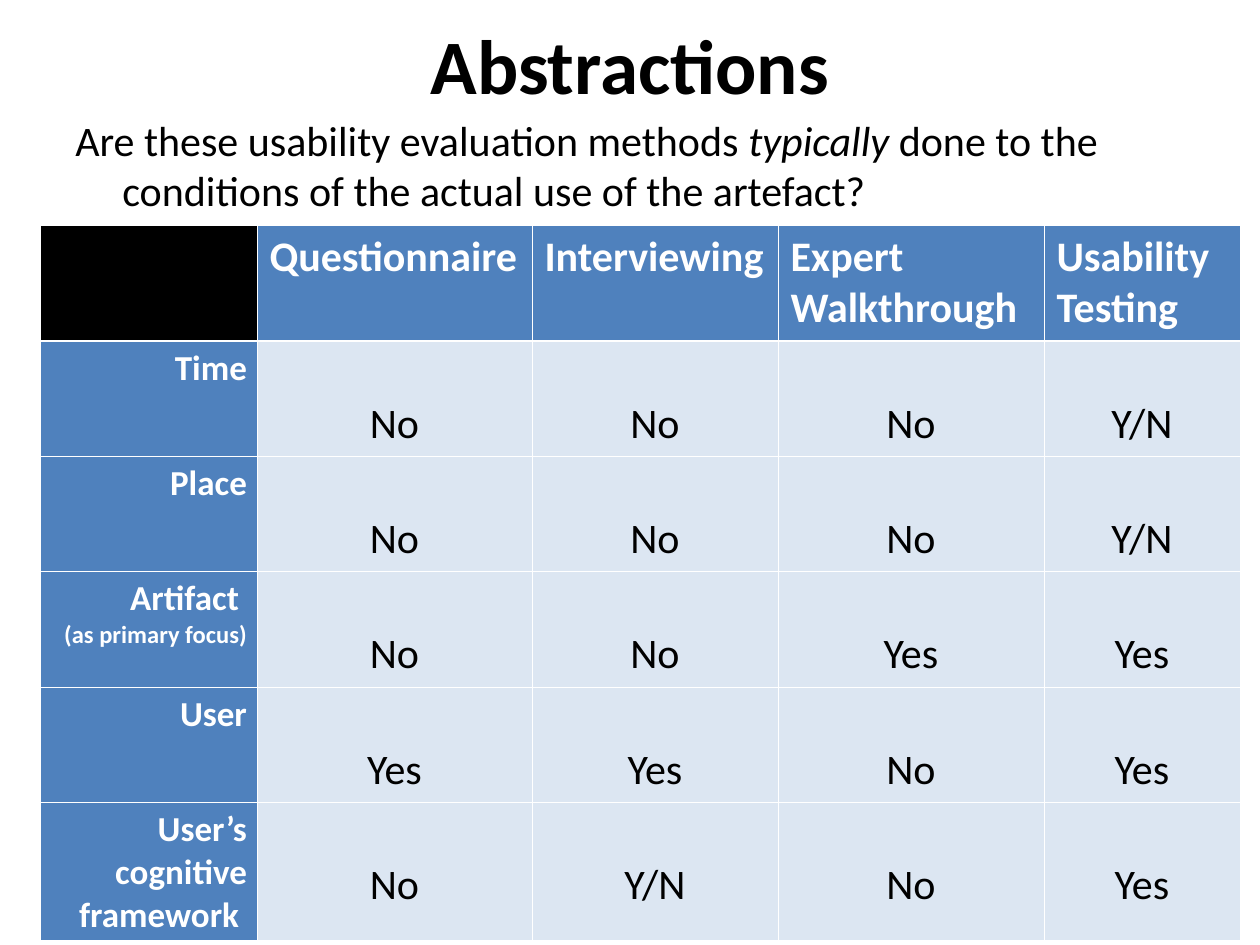
"""Build the Abstractions slide: a question above a table of usability methods."""
from lxml.etree import SubElement
from pptx import Presentation
from pptx.dml.color import RGBColor
from pptx.enum.text import MSO_ANCHOR, PP_ALIGN
from pptx.oxml.ns import qn
from pptx.util import Emu, Pt

SCALE = 914400 / 126
WHITE, BLACK, BLUE, PALE = "FFFFFF", "000000", "4F81BD", "DCE6F2"
THIN, THICK = 0.45, 1.47


def px(n):
    return Emu(round(n * SCALE))


def add_run(p, text, size, color=BLACK, bold=False, italic=False):
    r = p.add_run()
    r.text = text
    r.font.name = "Calibri"
    r.font.size = Pt(size)
    r.font.bold = bold
    r.font.italic = italic
    r.font.color.rgb = RGBColor.from_string(color)


prs = Presentation()
prs.slide_width, prs.slide_height = px(1260), px(945)
s = prs.slides.add_slide(prs.slide_layouts[6])

title = s.shapes.add_textbox(px(63), px(20), px(1134), px(88))
tf = title.text_frame
tf.word_wrap = True
tf.vertical_anchor = MSO_ANCHOR.MIDDLE
p = tf.paragraphs[0]
p.alignment = PP_ALIGN.CENTER
add_run(p, "Abstractions", 44, bold=True)

question = s.shapes.add_textbox(px(63), px(108), px(1134), px(808))
tf = question.text_frame
tf.word_wrap = True
p = tf.paragraphs[0]
pPr = p._p.get_or_add_pPr()
pPr.set("marL", str(px(47)))
pPr.set("indent", str(-px(47)))
add_run(p, "Are these usability evaluation methods ", 24)
add_run(p, "typically", 24, italic=True)
add_run(p, " done to the conditions of the actual use of the artefact?", 24)

methods = ["", "Questionnaire", "Interviewing", "Expert Walkthrough", "Usability Testing"]
answers = [
    [[("Time", 20)], "No", "No", "No", "Y/N"],
    [[("Place", 20)], "No", "No", "No", "Y/N"],
    [[("Artifact ", 20), ("(as primary focus)", 14)], "No", "No", "Yes", "Yes"],
    [[("User", 20)], "Yes", "Yes", "No", "Yes"],
    [[("User’s cognitive framework ", 20)], "No", "Y/N", "No", "Yes"],
]
rows = [methods] + answers
widths = [217, 275, 246, 266, 196]
heights = [116, 115, 115, 116, 115, 129]

frame = s.shapes.add_table(len(rows), len(widths), px(40), px(225), px(sum(widths)), px(sum(heights)))
table = frame.table
table.horz_banding = False
for column, width in zip(table.columns, widths):
    column.width = px(width)

for i, (row, height) in enumerate(zip(rows, heights)):
    table.rows[i].height = px(height)
    for j, value in enumerate(row):
        cell = table.cell(i, j)
        tcPr = cell._tc.get_or_add_tcPr()
        top = THICK if i == 1 else THIN
        bottom = THICK if i == 0 else THIN
        for side, weight in (("L", THIN), ("R", THIN), ("T", top), ("B", bottom)):
            ln = SubElement(tcPr, qn(f"a:ln{side}"), w=str(Pt(weight)))
            SubElement(SubElement(ln, qn("a:solidFill")), qn("a:srgbClr"), val=WHITE)
        if i == 0:
            fill = BLUE if value else BLACK
        else:
            fill = PALE if j else BLUE
        cell.fill.solid()
        cell.fill.fore_color.rgb = RGBColor.from_string(fill)

        tf = cell.text_frame
        p = tf.paragraphs[0]
        if i == 0:
            if value:
                add_run(p, value, 24, WHITE, bold=True)
        elif j == 0:
            cell.margin_left = cell.margin_right = px(10)
            for k, (text, size) in enumerate(value):
                p = tf.add_paragraph() if k else p
                p.alignment = PP_ALIGN.RIGHT
                add_run(p, text, size, WHITE, bold=True)
        else:
            p.alignment = PP_ALIGN.CENTER
            p.line_spacing = 2.0
            add_run(p, value, 24)

prs.save("out.pptx")
